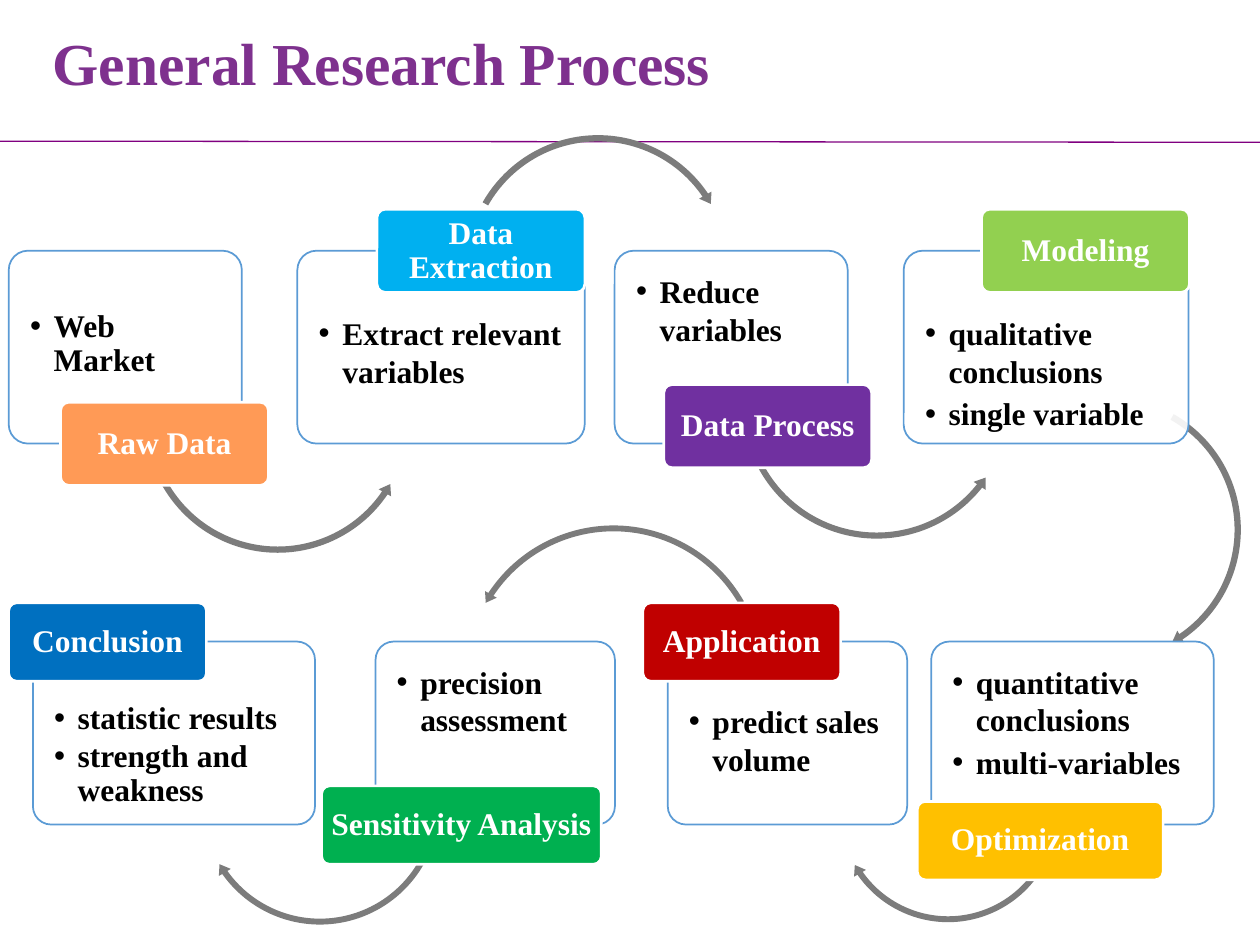
import dataclasses
import pptx
import pptx.dml.color
import pptx.enum.shapes
import pptx.enum.text
import pptx.oxml
import pptx.oxml.ns
import pptx.util

Pt = pptx.util.Pt
SHAPE = pptx.enum.shapes.MSO_SHAPE
ANCHOR = pptx.enum.text.MSO_ANCHOR
ALIGN = pptx.enum.text.PP_ALIGN
FONT = "Times New Roman"
COLORS = {
    "title": "7E318E", "rule": "800080", "arrow": "7C7C7C", "edge": "5B9BD5",
    "white": "FFFFFF", "black": "000000", "orange": "FF9A56", "sky": "00B0F0",
    "purple": "7030A0", "lime": "92D050", "gold": "FFC000", "red": "C00000",
    "green": "00B050", "blue": "0070C0",
}
TOP_CARD, TOP_HEIGHT = 143.3, 110.2
LOW_CARD, LOW_HEIGHT = 366.6, 104.6
TOP_TAG, LOW_TAG = (118.8, 47.5), (113, 44.8)
ARC = (0.023, 2.726, 195.519, 125.755, 0.026)
LEFT_ARC = (0.023, 2.726, 20.481, 90.245, 0.026)


@dataclasses.dataclass
class Step:
    name: str
    color: str
    points: tuple
    card: tuple
    tag: tuple
    text_top: float
    arrow: tuple = None
    spacing: float = 1.0
    filled: bool = True


def top_step(name, color, points, left, width, tag, text_top, arrow=None, spacing=1.0):
    card = (left, TOP_CARD, width, TOP_HEIGHT)
    return Step(name, color, points, card, tag + TOP_TAG, text_top, arrow, spacing)


def low_step(name, color, points, left, width, tag, text_top, arrow=None,
             spacing=1.0, tag_width=LOW_TAG[0], filled=True):
    card = (left, LOW_CARD, width, LOW_HEIGHT)
    return Step(name, color, points, card, tag + (tag_width, LOW_TAG[1]),
                text_top, arrow, spacing, filled)


STEPS = [
    top_step("Raw Data", "orange", ("Web Market",), 5, 133.2, (34.6, 229.9), 31,
             (SHAPE.LEFT_CIRCULAR_ARROW, 80.6, 162, 156.2, LEFT_ARC), 0.9),
    top_step("Data Extraction", "sky", ("Extract relevant variables",),
             169.9, 164.2, (215.4, 119.6), 33,
             (SHAPE.CIRCULAR_ARROW, 263.7, 75, 156.2, ARC)),
    top_step("Data Process", "purple", ("Reduce variables",), 351.2, 133.2,
             (379.3, 219.8), 9,
             (SHAPE.LEFT_CIRCULAR_ARROW, 421.8, 151.8, 158.4,
              (0.022, 2.698, 23.066, 92.858, 0.026))),
    top_step("Modeling", "lime", ("qualitative conclusions", "single variable"),
             516.4, 162.8, (560.9, 119.6), 33),
    low_step("Optimization", "gold", ("quantitative conclusions", "multi-variables"),
             532.1, 161.5, (524.2, 458), 9,
             (SHAPE.CIRCULAR_ARROW, 476.6, 398.9, 130.3,
              (0.026, 3.141, 87.104, 17.755, 0.03)), tag_width=140.4),
    low_step("Application", "red", ("predict sales volume",), 381.6, 136.8,
             (367.4, 344.5), 31.5,
             (SHAPE.LEFT_CIRCULAR_ARROW, 262.8, 298.1, 175.7,
              (0.019, 2.294, 128.049, 198.245, 0.022))),
    low_step("Sensitivity Analysis", "green", ("precision assessment",), 214.6, 136.8,
             (183.8, 449.1), 9,
             (SHAPE.CIRCULAR_ARROW, 112.3, 389.5, 141.1,
              (0.024, 2.888, 86.807, 17.206, 0.028)), tag_width=159.8, filled=False),
    low_step("Conclusion", "blue", ("statistic results", "strength and weakness"),
             18.8, 161.2, (5, 344.5), 31.5, spacing=0.9),
]


def rgb(name):
    return pptx.dml.color.RGBColor.from_string(COLORS[name])


def style_runs(para, size, color):
    for span in para.runs:
        span.font.name = FONT
        span.font.size = Pt(size)
        span.font.bold = True
        span.font.color.rgb = rgb(color)


def set_margins(frame, left, top, right, bottom):
    frame.margin_left, frame.margin_top = Pt(left), Pt(top)
    frame.margin_right, frame.margin_bottom = Pt(right), Pt(bottom)


def set_bullet(para):
    props = para._p.get_or_add_pPr()
    props.set("marL", str(Pt(13.5)))
    props.set("indent", str(-Pt(13.5)))
    ns = pptx.oxml.ns.nsdecls("a")
    props.append(pptx.oxml.parse_xml(f'<a:buFont {ns} typeface="Arial"/>'))
    props.append(pptx.oxml.parse_xml(f'<a:buChar {ns} char="•"/>'))


def set_alpha(shape, percent):
    color = shape.fill._xPr.find(".//" + pptx.oxml.ns.qn("a:srgbClr"))
    ns = pptx.oxml.ns.nsdecls("a")
    color.append(pptx.oxml.parse_xml(f'<a:alpha {ns} val="{percent * 1000}"/>'))


def add_rounded(page, place, edge, width):
    box = page.shapes.add_shape(SHAPE.ROUNDED_RECTANGLE, *map(Pt, place))
    box.adjustments[0] = 0.1
    box.shadow.inherit = False
    box.line.color.rgb = rgb(edge)
    box.line.width = Pt(width)
    box.text_frame.word_wrap = True
    return box


def add_card(page, step):
    box = add_rounded(page, step.card, "edge", 1)
    if step.filled:
        box.fill.solid()
        box.fill.fore_color.rgb = rgb("white")
        set_alpha(box, 90)
    else:
        box.fill.background()
    frame = box.text_frame
    frame.vertical_anchor = ANCHOR.TOP
    set_margins(frame, 9, step.text_top, 9, 0)
    frame.text = "\n".join(step.points)
    for para in frame.paragraphs:
        set_bullet(para)
        para.alignment = ALIGN.LEFT
        para.line_spacing = step.spacing
        para.space_after = Pt(2.7)
        style_runs(para, 18, "black")


def add_tag(page, step):
    box = add_rounded(page, step.tag, "white", 1.5)
    box.fill.solid()
    box.fill.fore_color.rgb = rgb(step.color)
    frame = box.text_frame
    frame.vertical_anchor = ANCHOR.MIDDLE
    set_margins(frame, 2, 2, 2, 2)
    frame.text = step.name
    para = frame.paragraphs[0]
    para.alignment = ALIGN.CENTER
    para.line_spacing = 0.9
    style_runs(para, 18, "white")


def add_arrow(page, kind, left, top, size, adjustments, rotation=0):
    arrow = page.shapes.add_shape(kind, Pt(left), Pt(top), Pt(size), Pt(size))
    for index, value in enumerate(adjustments):
        arrow.adjustments[index] = value
    arrow.rotation = rotation
    arrow.shadow.inherit = False
    arrow.fill.solid()
    arrow.fill.fore_color.rgb = rgb("arrow")
    arrow.line.fill.background()


def add_rule(page):
    rule = page.shapes.add_connector(
        pptx.enum.shapes.MSO_CONNECTOR.STRAIGHT, Pt(0), Pt(80.7), Pt(720), Pt(81.3))
    rule.line.color.rgb = rgb("rule")
    rule.line.width = Pt(0.75)
    ns = pptx.oxml.ns.nsdecls("a")
    rule._element.spPr.append(pptx.oxml.parse_xml(f"<a:effectLst {ns}/>"))


def set_title(page, text):
    title = page.shapes.title
    title.left, title.top, title.width, title.height = map(Pt, (23, 15.8, 395.3, 44.6))
    frame = title.text_frame
    frame.text = text
    frame.word_wrap = False
    frame.vertical_anchor = ANCHOR.MIDDLE
    para = frame.paragraphs[0]
    para.alignment = ALIGN.LEFT
    para.line_spacing = 0.9
    style_runs(para, 34, "title")


def main():
    deck = pptx.Presentation()
    deck.slide_width, deck.slide_height = Pt(720), Pt(540)
    page = deck.slides.add_slide(deck.slide_layouts[5])
    set_title(page, "General Research Process")
    add_rule(page)
    add_arrow(page, SHAPE.CIRCULAR_ARROW, 555.1, 224.6, 156.2, ARC, 90)
    for step in STEPS:
        add_card(page, step)
        if step.arrow:
            add_arrow(page, *step.arrow)
        add_tag(page, step)
    deck.save("out.pptx")


if __name__ == "__main__":
    main()
